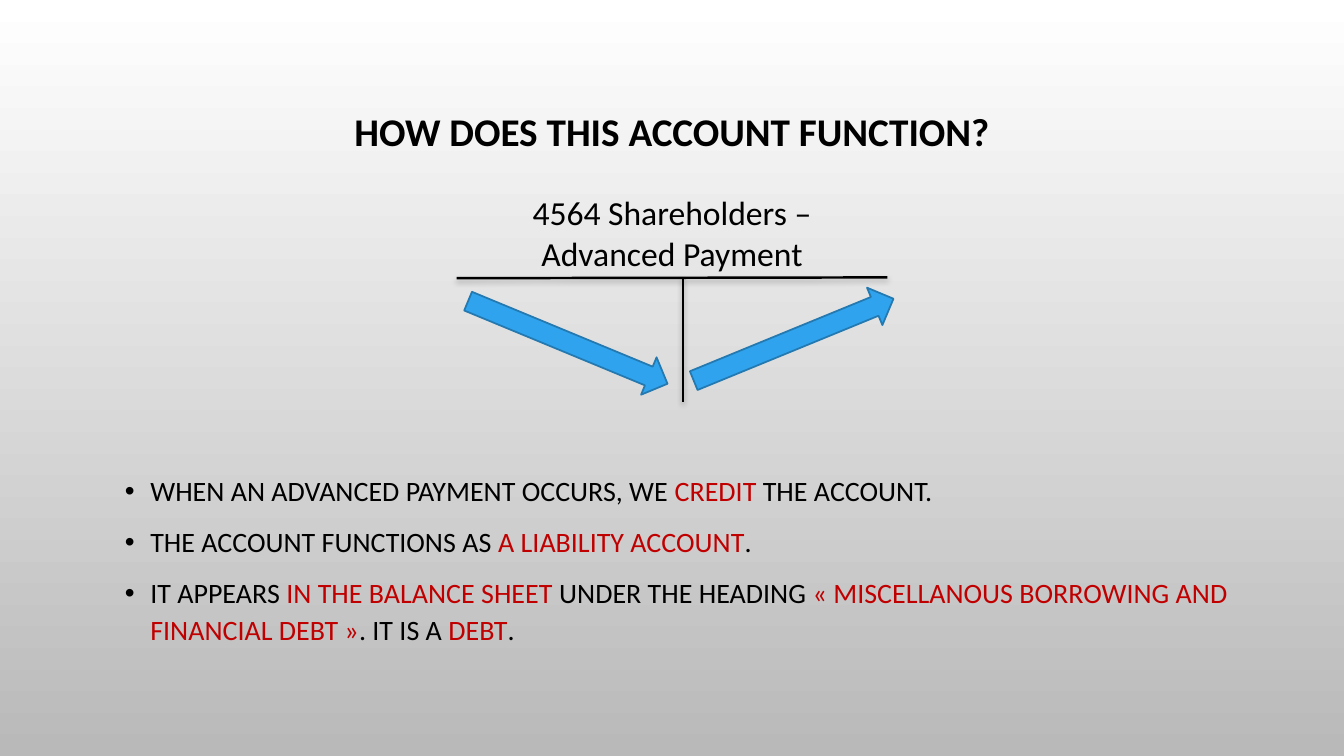
from lxml.etree import SubElement
from pptx import Presentation
from pptx.dml.color import RGBColor
from pptx.enum.shapes import MSO_CONNECTOR, MSO_SHAPE
from pptx.enum.text import MSO_ANCHOR, PP_ALIGN
from pptx.oxml.ns import qn
from pptx.util import Cm, Pt

FONT = "Calibri"
HUES = {
    "text": "000000",
    "key": "C00000",
    "top": "FFFFFF",
    "base": "B9B9B9",
    "arrow": "2FA3EE",
    "edge": "2379B0",
}
POINTS = [
    [
        ("WHEN AN ADVANCED PAYMENT OCCURS, WE ", "text"),
        ("CREDIT", "key"),
        (" THE ACCOUNT.", "text"),
    ],
    [
        ("THE ACCOUNT FUNCTIONS AS ", "text"),
        ("A LIABILITY ACCOUNT", "key"),
        (".", "text"),
    ],
    [
        ("IT APPEARS ", "text"),
        ("IN THE BALANCE SHEET ", "key"),
        ("UNDER THE HEADING ", "text"),
        ("« MISCELLANOUS BORROWING AND FINANCIAL DEBT »", "key"),
        (". IT IS A ", "text"),
        ("DEBT", "key"),
        (".", "text"),
    ],
]


def hue(name):
    return RGBColor.from_string(HUES[name])


def add_run(para, text, size, name="text", bold=False):
    run = para.add_run()
    run.text = text
    font = run.font
    font.name, font.size, font.bold = FONT, Pt(size), bold
    font.color.rgb = hue(name)


def add_bullet(para):
    props = para._p.get_or_add_pPr()
    props.set("marL", str(Cm(0.64)))
    props.set("indent", str(-Cm(0.64)))
    tint = SubElement(props, qn("a:buClr"))
    SubElement(tint, qn("a:srgbClr"), val=HUES["text"])
    SubElement(props, qn("a:buFont"), typeface="Arial")
    SubElement(props, qn("a:buChar"), char="•")


def add_shade(line):
    effects = SubElement(line._element.spPr, qn("a:effectLst"))
    shade = SubElement(
        effects, qn("a:outerShdw"), blurRad=str(Pt(4)), dist=str(Pt(2)),
        dir="5400000", algn="ctr", rotWithShape="0",
    )
    tint = SubElement(shade, qn("a:srgbClr"), val=HUES["text"])
    SubElement(tint, qn("a:alpha"), val="28000")


def paint_back(slide):
    fill = slide.background.fill
    fill.gradient()
    fill.gradient_angle = 270
    for stop, name in zip(fill.gradient_stops, ("top", "base")):
        stop.color.rgb = hue(name)


def set_title(slide, left, top, width, height):
    title = slide.shapes.title
    title.left, title.top, title.width, title.height = left, top, width, height
    frame = title.text_frame
    frame.word_wrap = True
    frame.vertical_anchor = MSO_ANCHOR.MIDDLE
    para = frame.paragraphs[0]
    para.alignment = PP_ALIGN.CENTER
    para.line_spacing = 0.9
    add_run(para, "HOW DOES THIS ACCOUNT FUNCTION?", 28, bold=True)


def add_account(slide, left, top, width, height):
    group = slide.shapes.add_group_shape().shapes
    bar = top + Cm(2.27)
    stem = left + Cm(5.7)
    ends = [
        (left, bar + Cm(0.02), left + width, bar),
        (stem, bar, stem, top + height),
    ]
    for end in ends:
        line = group.add_connector(MSO_CONNECTOR.STRAIGHT, *end)
        line.line.color.rgb = hue("text")
        line.line.width = Pt(1.75)
        add_shade(line)
    label = group.add_textbox(left, top, width, Cm(2.31))
    label.text_frame.word_wrap = True
    para = label.text_frame.paragraphs[0]
    para.alignment = PP_ALIGN.CENTER
    add_run(para, "4564 Shareholders – Advanced Payment", 24)

    for across, down, turn in ((0.08, 3.4, 22.5), (5.77, 3.33, 337.7)):
        arrow = slide.shapes.add_shape(
            MSO_SHAPE.RIGHT_ARROW, left + Cm(across), top + Cm(down),
            Cm(5.44), Cm(1.02),
        )
        arrow.rotation = turn
        arrow.shadow.inherit = False
        arrow.fill.solid()
        arrow.fill.fore_color.rgb = hue("arrow")
        arrow.line.color.rgb = hue("edge")
        arrow.line.width = Pt(1.25)


def add_points(slide, left, top, width, height):
    frame = slide.shapes.add_textbox(left, top, width, height).text_frame
    frame.word_wrap = True
    for rank, parts in enumerate(POINTS):
        para = frame.add_paragraph() if rank else frame.paragraphs[0]
        para.line_spacing = 1.1
        para.space_before = Pt(10)
        add_bullet(para)
        for text, name in parts:
            add_run(para, text, 20, name)


def main():
    deck = Presentation()
    deck.slide_width, deck.slide_height = Cm(33.87), Cm(19.05)
    slide = deck.slides.add_slide(deck.slide_layouts[5])
    paint_back(slide)
    set_title(slide, Cm(2.54), Cm(1.14), Cm(28.78), Cm(4.45))
    add_points(slide, Cm(2.9), Cm(11.73), Cm(28.78), Cm(4.93))
    add_account(slide, Cm(11.51), Cm(4.72), Cm(10.85), Cm(5.41))
    deck.save("out.pptx")


if __name__ == "__main__":
    main()
